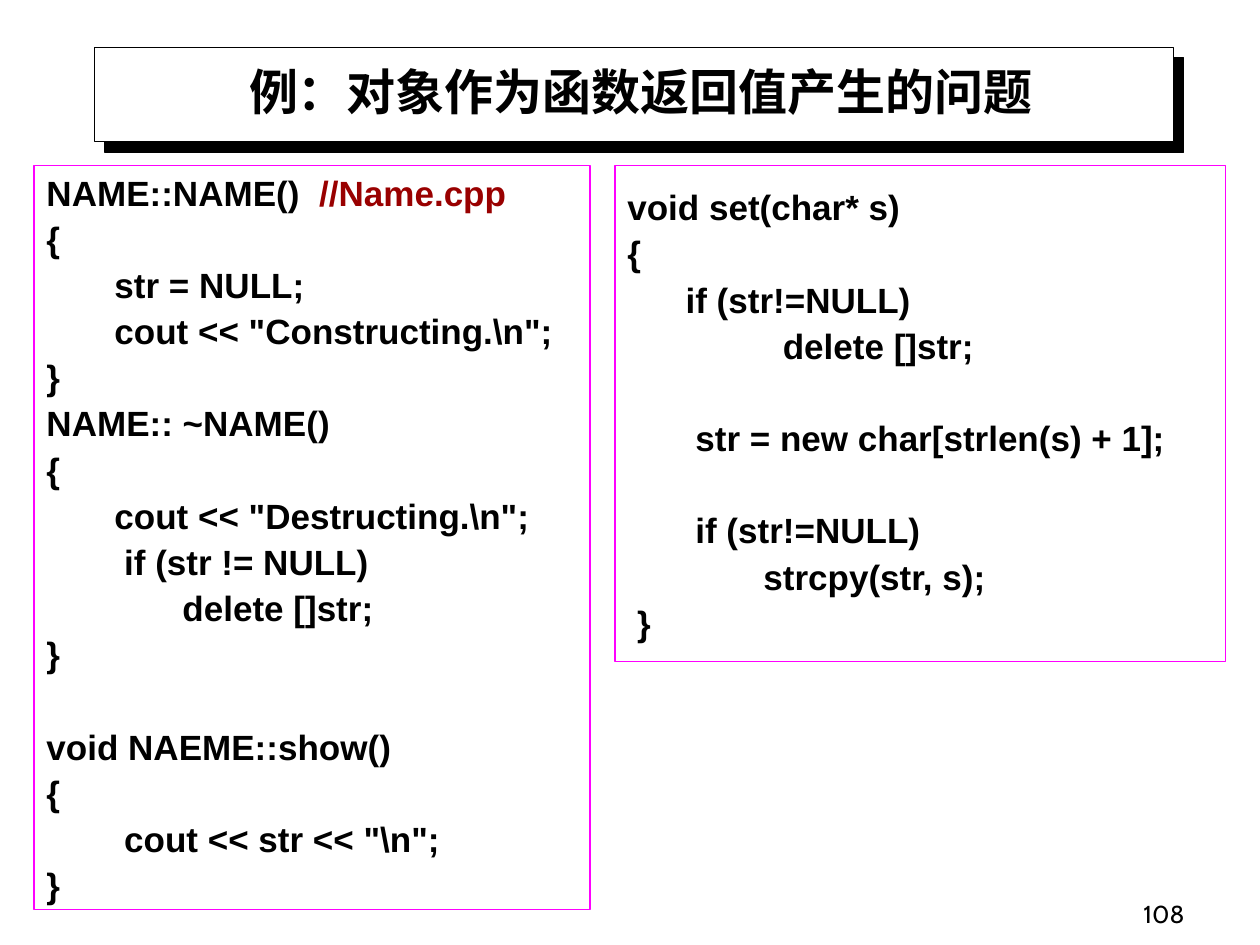
from lxml import etree
from pptx import Presentation
from pptx.dml.color import RGBColor
from pptx.enum.shapes import MSO_SHAPE
from pptx.enum.text import MSO_ANCHOR, MSO_AUTO_SIZE, PP_ALIGN
from pptx.oxml.ns import qn
from pptx.util import Pt

RECT = MSO_SHAPE.RECTANGLE
MIDDLE, BOTTOM = MSO_ANCHOR.MIDDLE, MSO_ANCHOR.BOTTOM
LEFT, CENTER, RIGHT = PP_ALIGN.LEFT, PP_ALIGN.CENTER, PP_ALIGN.RIGHT
FIXED = MSO_AUTO_SIZE.NONE
BLACK, WHITE, PINK, RED = "000000", "FFFFFF", "FF00FF", "990000"

HEAD = {"name": "Cabin", "size": Pt(28), "bold": True}
CODE = {"name": "Arial", "size": Pt(20), "bold": True}
FOOT = {"name": "Cabin", "size": Pt(14), "bold": False}
LINES = {"line_spacing": 1.05, "alignment": LEFT}

CLASS = r'''NAME::NAME()  //Name.cpp
{
       str = NULL;
       cout << "Constructing.\n";
}
NAME:: ~NAME()
{
       cout << "Destructing.\n";
        if (str != NULL)
              delete []str;
}

void NAEME::show()
{
        cout << str << "\n";
}'''

SETTER = '''void set(char* s)
{
      if (str!=NULL)
                delete []str;

       str = new char[strlen(s) + 1];

       if (str!=NULL)
              strcpy(str, s);
 }'''


def color(code):
    return RGBColor.from_string(code)


def apply(item, form):
    for key, value in form.items():
        setattr(item, key, value)


def place(shape, box):
    keys = ("left", "top", "width", "height")
    apply(shape, dict(zip(keys, map(Pt, box))))


def write(para, text, form, tint=BLACK):
    run = para.add_run()
    run.text = text
    apply(run.font, form)
    run.font.color.rgb = color(tint)


def frame(slide, box, edge):
    shape = slide.shapes.add_shape(RECT, *map(Pt, box))
    shape.shadow.inherit = False
    shape.fill.background()
    shape.line.color.rgb = color(edge)
    shape.line.width = Pt(0.75)
    return shape


def banner(slide, box):
    shape = frame(slide, box, BLACK)
    shape.fill.solid()
    shape.fill.fore_color.rgb = color(WHITE)
    # Hard shadow, down and to the right
    effect = shape._element.spPr.find(qn("a:effectLst"))
    shadow = etree.SubElement(effect, qn("a:outerShdw"), dist=str(Pt(8.5)),
                              dir="2700000", algn="ctr", rotWithShape="0")
    etree.SubElement(shadow, qn("a:srgbClr"), val=BLACK)
    # Behind the title
    slide.shapes._spTree.insert(2, shape._element)


def label(shape, text, form, align, anchor):
    body = shape.text_frame
    apply(body, {"word_wrap": True, "auto_size": FIXED,
                 "vertical_anchor": anchor})
    para = body.paragraphs[0]
    para.alignment = align
    write(para, text, form)


def listing(slide, box, code):
    body = frame(slide, box, PINK).text_frame
    apply(body, {"word_wrap": True, "vertical_anchor": MIDDLE})
    for i, line in enumerate(code.split("\n")):
        para = body.add_paragraph() if i else body.paragraphs[0]
        apply(para, LINES)
        para.space_before = Pt(1.2 if i else 0)
        start, mark, note = line.partition("//")
        if start:
            write(para, start, CODE)
        else:
            # An empty line of code keeps the code size
            etree.SubElement(para._p, qn("a:endParaRPr"), sz="2000")
        if mark:
            write(para, mark + note, CODE, RED)


def main():
    deck = Presentation()
    apply(deck, {"slide_width": Pt(720), "slide_height": Pt(540)})
    slide = deck.slides.add_slide(deck.slide_layouts[5])

    # Title on its banner
    banner(slide, (54, 27, 616.5, 54))
    title = slide.shapes.title
    place(title, (60, 32, 612, 39.5))
    label(title, "例：对象作为函数返回值产生的问题", HEAD, CENTER, MIDDLE)

    # Code listings
    listing(slide, (19.5, 94.5, 317.7, 425.2), CLASS)
    listing(slide, (351.4, 94.5, 348.8, 283.5), SETTER)

    # Page number
    page = slide.shapes.add_textbox(*map(Pt, (534, 498, 150, 36)))
    label(page, "108", FOOT, RIGHT, BOTTOM)

    deck.save("out.pptx")


if __name__ == "__main__":
    main()
